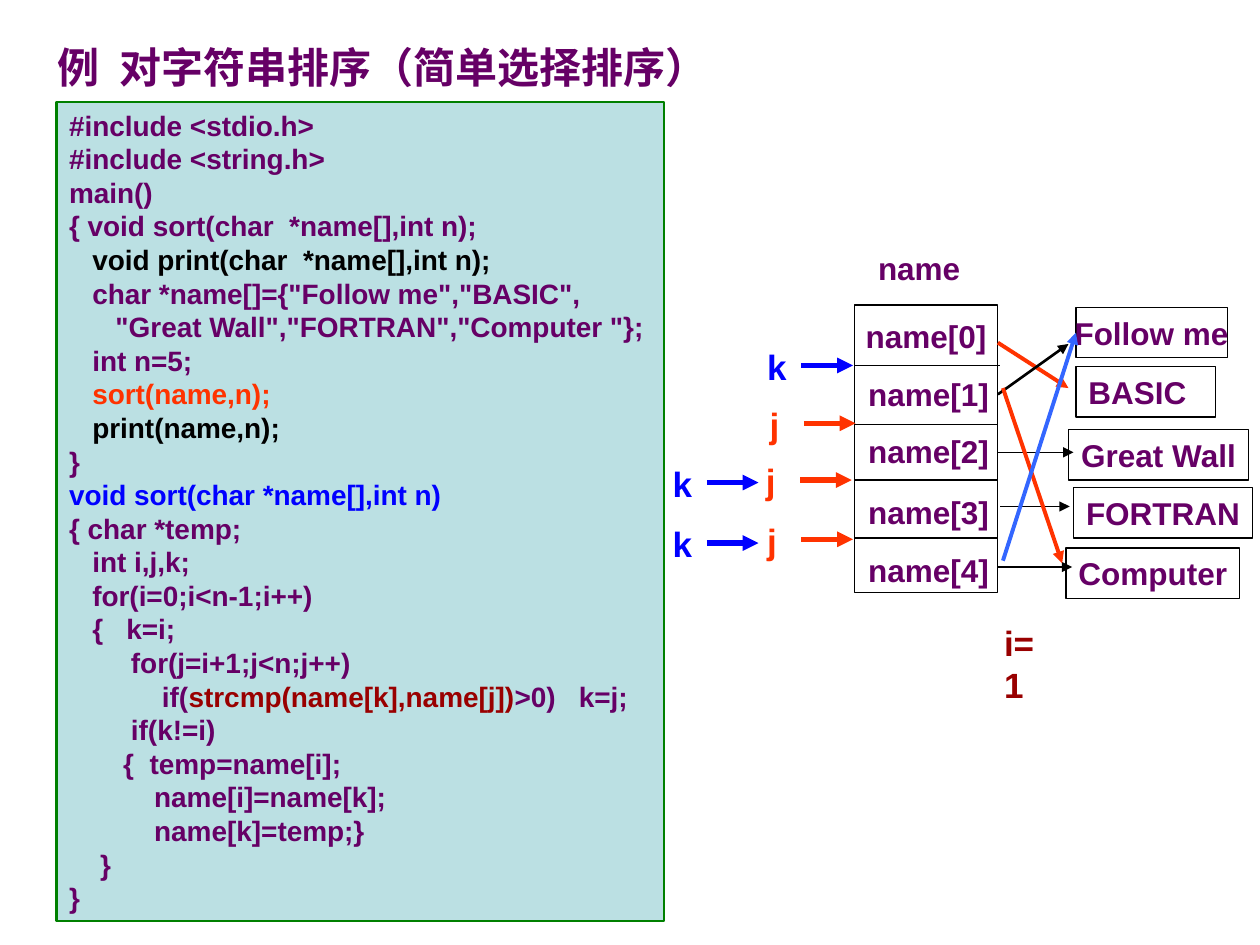
import pptx
import pptx.util
import pptx.dml.color
import pptx.enum.shapes
import pptx.enum.text
import pptx.oxml
import pptx.oxml.ns
from pptx.util import Inches

PURPLE, BLACK, BLUE, RED = "660066", "000000", "0000FF", "FF3300"
SKY, DARK_RED, WHITE = "3366FF", "990000", "FFFFFF"

# Code listing: each line is a list of (text, colour)
CODE = [
    [("#include <stdio.h>", PURPLE)],
    [("#include <string.h>", PURPLE)],
    [("main()", PURPLE)],
    [("{ void sort(char  *name[],int n);", PURPLE)],
    [("   void print(char  *name[],int n);", BLACK)],
    [('   char *name[]={"Follow me","BASIC",', PURPLE)],
    [('      "Great Wall","FORTRAN","Computer "};', PURPLE)],
    [("   int n=5;", PURPLE)],
    [("   sort(name,n);", RED)],
    [("   print(name,n);", BLACK)],
    [("}", PURPLE)],
    [("void sort(char *name[],int n)", BLUE)],
    [("{ char *temp;", PURPLE)],
    [("   int i,j,k;", PURPLE)],
    [("   for(i=0;i<n-1;i++)", PURPLE)],
    [("   {   k=i;", PURPLE)],
    [("        for(j=i+1;j<n;j++)", PURPLE)],
    [("            if(", PURPLE), ("strcmp(name[k],name[j])", DARK_RED),
     (">0)   k=j;", PURPLE)],
    [("        if(k!=i)", PURPLE)],
    [("       {  temp=name[i];", PURPLE)],
    [("           name[i]=name[k];", PURPLE)],
    [("           name[k]=temp;}", PURPLE)],
    [("    }", PURPLE)],
    [("}", PURPLE)],
]

# Pointer array: label tops and the rules between cells (y, right end)
ARRAY_LEFT, ARRAY_TOP, ARRAY_WIDTH, ARRAY_HEIGHT = 6.78, 2.42, 1.14, 2.28
CELL_TOPS = [2.47, 2.93, 3.38, 3.86, 4.32]
CELL_RULES = [(2.9, 7.94), (3.37, 7.92), (3.81, 7.92), (4.27, 7.92)]

# Strings: text, left, top, width
STRINGS = [
    ("Great Wall", 8.48, 3.41, 1.43),
    ("FORTRAN", 8.52, 3.87, 1.42),
    ("Computer", 8.46, 4.35, 1.38),
    ("Follow me", 8.54, 2.44, 1.2),
    ("BASIC", 8.54, 2.91, 1.11),
]

# Index markers: letter, colour, label left, label top, label width, right inset
MARKERS = [
    ("k", BLUE, 5.99, 2.69, 0.35, 0.1),
    ("k", BLUE, 5.24, 3.62, 0.35, 0.1),
    ("k", BLUE, 5.24, 4.1, 0.35, 0.1),
    ("j", RED, 6.01, 3.15, 0.18, 0),
    ("j", RED, 5.98, 3.6, 0.18, 0),
    ("j", RED, 5.99, 4.07, 0.18, 0),
]

# Pointer arrows: start, end, colour, width in points
STRAIGHT_ARROWS = [
    ((7.92, 3.59), (8.52, 3.59), BLACK, 0.75),
    ((7.94, 4.02), (8.49, 4.02), BLACK, 0.75),
    ((7.91, 4.5), (8.51, 4.5), BLACK, 0.75),
]
CROSSED_ARROWS = [
    ((7.92, 2.72), (8.48, 3.08), RED, 2.25),
    ((7.92, 3.13), (8.48, 2.73), BLACK, 1.5),
    ((7.96, 3.08), (8.43, 4.47), RED, 2.25),
]


def color(value):
    return pptx.dml.color.RGBColor.from_string(value)


def add_text(shapes, lines, left, top, width, height, size=18, tint=PURPLE,
             fill=None, line=None, line_width=0.75, align="LEFT",
             anchor="TOP", wrap=False, grow=True, right_inset=0.1, tab=None):
    """Add a text box, or a rectangle if it has a line; lines is text or runs."""
    place = [Inches(value) for value in (left, top, width, height)]
    if line:
        shape = shapes.add_shape(pptx.enum.shapes.MSO_SHAPE.RECTANGLE, *place)
        shape.shadow.inherit = False
        shape.line.color.rgb = color(line)
        shape.line.width = pptx.util.Pt(line_width)
        if fill:
            shape.fill.solid()
            shape.fill.fore_color.rgb = color(fill)
        else:
            shape.fill.background()
    else:
        shape = shapes.add_textbox(*place)
    frame = shape.text_frame
    frame.word_wrap = wrap
    auto = pptx.enum.text.MSO_AUTO_SIZE
    frame.auto_size = auto.SHAPE_TO_FIT_TEXT if grow else auto.NONE
    frame.vertical_anchor = getattr(pptx.enum.text.MSO_ANCHOR, anchor)
    frame.margin_right = Inches(right_inset)
    if isinstance(lines, str):
        lines = [[(lines, tint)]]
    for index, runs in enumerate(lines):
        paragraph = frame.paragraphs[0] if index == 0 else frame.add_paragraph()
        paragraph.alignment = getattr(pptx.enum.text.PP_ALIGN, align)
        if tab:
            tabs = pptx.oxml.parse_xml(
                f'<a:tabLst {pptx.oxml.ns.nsdecls("a")}>'
                f'<a:tab pos="{Inches(tab)}" algn="l"/></a:tabLst>')
            paragraph._p.get_or_add_pPr().append(tabs)
        for text, run_color in runs:
            run = paragraph.add_run()
            run.text = text
            run.font.name = "Arial"
            run.font.size = pptx.util.Pt(size)
            run.font.bold = True
            run.font.color.rgb = color(run_color)
    return shape


def add_line(shapes, start, end, tint=BLACK, width=0.75, arrow=True):
    connector = shapes.add_connector(
        pptx.enum.shapes.MSO_CONNECTOR.STRAIGHT,
        *[Inches(value) for value in (*start, *end)])
    connector.line.color.rgb = color(tint)
    connector.line.width = pptx.util.Pt(width)
    namespace = pptx.oxml.ns.nsdecls("a")
    if arrow:
        connector.line._get_or_add_ln().append(
            pptx.oxml.parse_xml(f'<a:tailEnd {namespace} type="triangle"/>'))
    connector._element.spPr.append(
        pptx.oxml.parse_xml(f"<a:effectLst {namespace}/>"))
    return connector


presentation = pptx.Presentation()
presentation.slide_width, presentation.slide_height = Inches(10), Inches(7.5)
slide = presentation.slides.add_slide(presentation.slide_layouts[6])
shapes = slide.shapes

# Title and array heading
add_text(shapes, "例\t对字符串排序（简单选择排序）", 0.36, 0.28, 5.8, 0.5,
         size=24, tab=0.49, wrap=True, grow=False)
add_text(shapes, "name", 6.87, 1.93, 0.85, 0.4, align="CENTER", anchor="MIDDLE")

for arrow in STRAIGHT_ARROWS:
    add_line(shapes, *arrow)

# Pointer array
array = shapes.add_group_shape().shapes
add_text(array, [], ARRAY_LEFT, ARRAY_TOP, ARRAY_WIDTH, ARRAY_HEIGHT,
         fill=WHITE, line=BLACK, grow=False)
for y, right in CELL_RULES:
    add_line(array, (ARRAY_LEFT, y), (right, y), arrow=False)
for index, top in enumerate(CELL_TOPS):
    add_text(array, f"name[{index}]", 6.79 if index else 6.77, top, 1.16, 0.4,
             align="CENTER", anchor="MIDDLE")

# Strings
boxes = {}
for text, left, top, width in STRINGS:
    is_left = text == "BASIC"
    boxes[text] = add_text(
        shapes, text, left, top, width, 0.4, line=BLACK, wrap=is_left,
        align="LEFT" if is_left else "CENTER",
        anchor="TOP" if is_left else "MIDDLE", grow=text != "Follow me")

# Index markers, each a letter with an arrow
for letter, tint, left, top, width, inset in MARKERS:
    marker = shapes.add_group_shape().shapes
    start, y = left + 0.37, top + 0.21
    add_line(marker, (start, y), (start + 0.41, y), tint, 3)
    add_text(marker, letter, left, top, width, 0.44, size=20, tint=tint,
             right_inset=inset)
add_text(shapes, "i=1", 7.87, 4.88, 0.59, 0.44, size=20, tint=DARK_RED)

# Pointers after the exchange
for arrow in CROSSED_ARROWS:
    add_line(shapes, *arrow)
last_pointer = add_line(shapes, (7.96, 4.45), (8.54, 2.64), SKY, 2.25)
last_pointer.end_connect(boxes["Follow me"], 1)

# Code panel
add_text(shapes, CODE, 0.45, 0.81, 4.82, 6.5, size=16, fill="BBE0E3",
         line="008000", line_width=1.5, wrap=True)

presentation.save("out.pptx")
